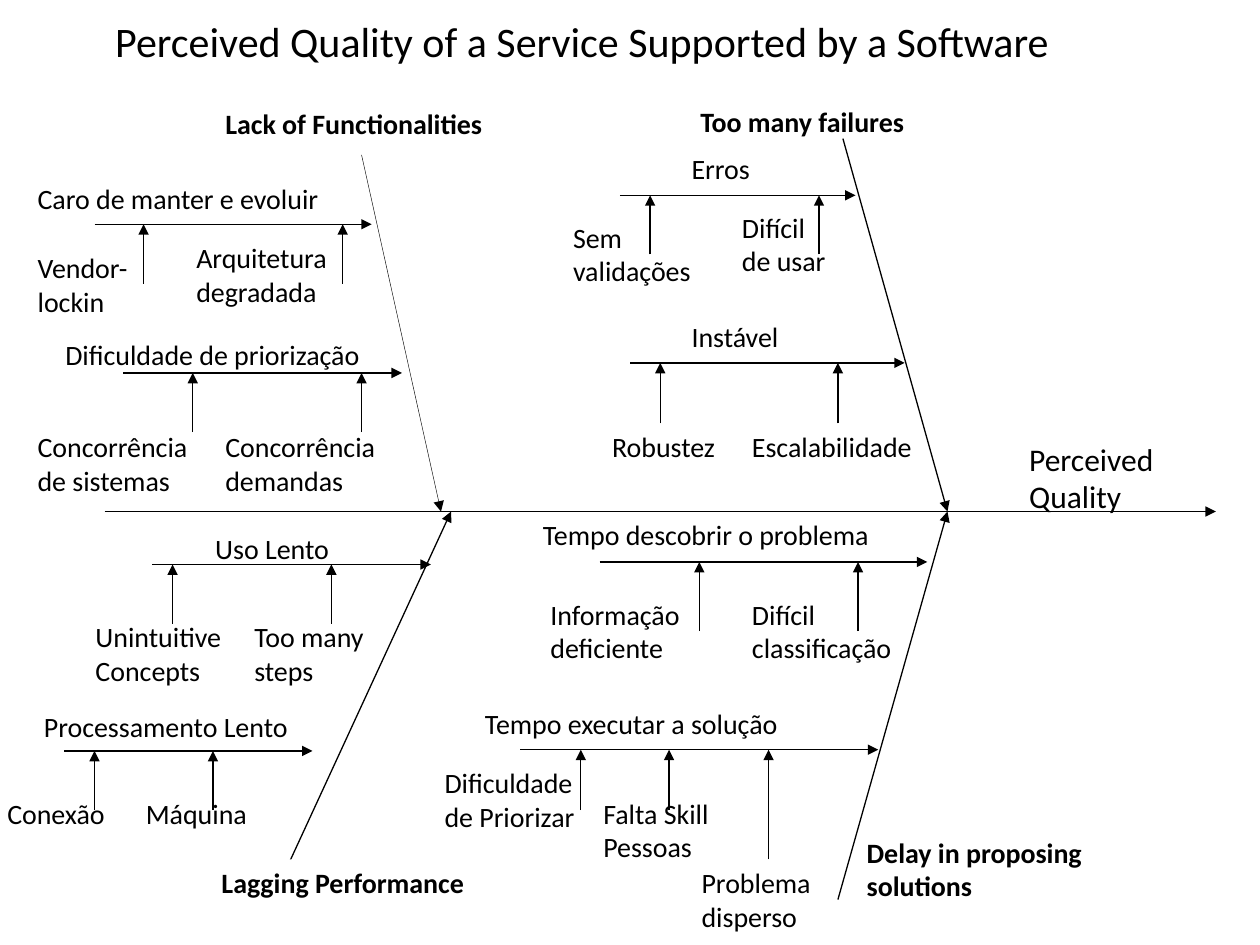
"""Build a fishbone diagram of perceived service quality."""
from dataclasses import dataclass

from lxml import etree
from pptx import Presentation
from pptx.dml.color import RGBColor
from pptx.enum.shapes import MSO_CONNECTOR
from pptx.enum.text import MSO_ANCHOR, MSO_AUTO_SIZE, PP_ALIGN
from pptx.oxml.ns import qn
from pptx.util import Inches, Pt

STRAIGHT = MSO_CONNECTOR.STRAIGHT
FIT = MSO_AUTO_SIZE.SHAPE_TO_FIT_TEXT
LEFT, CENTER = PP_ALIGN.LEFT, PP_ALIGN.CENTER
TOP, MIDDLE = MSO_ANCHOR.TOP, MSO_ANCHOR.MIDDLE


@dataclass(frozen=True)
class Theme:
    """Colours, font, type sizes and line widths."""
    ink: RGBColor = RGBColor(0, 0, 0)
    paper: RGBColor = RGBColor(255, 255, 255)
    font: str = "Calibri"
    title: int = 24
    outcome: int = 18
    label: int = 16
    line: float = 0.75
    hairline: float = 0.25


THEME = Theme()
ONE_LINE, TWO_LINES = 0.37, 0.64
SPINE_Y = 4.06
SPINE = (0.83, 9.65)

TITLE = ("Perceived Quality of a Service Supported by a Software", 0.08, 0.05, 9.08, 0.54)
OUTCOME = ("Perceived Quality", 8.07, 3.44, 1.57, 0.71)

# cause text, left, top, width, height, bone start x, y, joint x, line width
CAUSES = [
    ("Lack of Functionalities", 1.69, 0.8, 3.06, ONE_LINE, 2.87, 1.23, 3.5, THEME.hairline),
    ("Too many failures", 5.46, 0.78, 1.84, ONE_LINE, 6.69, 1.1, 7.52, THEME.line),
    ("Lagging Performance", 1.66, 6.82, 2.16, ONE_LINE, 2.16, 7.14, 3.58, THEME.line),
    ("Delay in proposing solutions", 6.78, 6.58, 2.39, TWO_LINES, 6.65, 7.14, 7.52, THEME.line),
]
MASKED_CAUSE = "Lagging Performance"

# label (text, left, top, width), arrow (start x, end x, y),
# twigs (text, left, top, width, arrow x, arrow start y)
BRANCHES = [
    (("Caro de manter e evoluir", 0.2, 1.39, 2.68), (0.75, 2.95, 1.78), [
        ("Vendor-\nlockin", 0.2, 1.94, 0.99, 1.14, 2.25),
        ("Arquitetura\ndegradada", 1.46, 1.86, 1.36, 2.72, 2.25)]),
    (("Dificuldade de priorização", 0.42, 2.63, 2.84), (0.98, 3.19, 2.96), [
        ("Concorrência\nde sistemas", 0.2, 3.36, 1.53, 1.53, 3.43),
        ("Concorrência\ndemandas", 1.69, 3.36, 1.53, 2.87, 3.43)]),
    (("Erros", 5.39, 1.15, 0.94), (4.92, 6.79, 1.55), [
        ("Sem\nvalidações", 4.45, 1.7, 1.26, 5.16, 2.02),
        ("Difícil\nde usar", 5.79, 1.62, 0.95, 6.5, 2.02)]),
    (("Instável", 5.39, 2.49, 1.18), (5, 7.18, 2.88), [
        ("Robustez", 4.76, 3.36, 1.15, 5.24, 3.36),
        ("Escalabilidade", 5.87, 3.36, 1.64, 6.65, 3.36)]),
    (("Uso Lento", 1.61, 4.17, 1.34), (1.21, 3.42, 4.48), [
        ("Unintuitive\nConcepts", 0.66, 4.87, 1.26, 1.37, 4.95),
        ("Too many\nsteps", 1.92, 4.87, 1.13, 2.63, 4.95)]),
    (("Processamento Lento", 0.25, 5.58, 2.38), (0.51, 2.48, 5.96), [
        ("Conexão", -0.04, 6.27, 1.1, 0.75, 6.43),
        ("Máquina", 1.06, 6.27, 1.26, 1.69, 6.43)]),
    (("Tempo descobrir o problema", 4.21, 4.06, 3.15), (4.76, 7.36, 4.46), [
        ("Informação\ndeficiente", 4.27, 4.69, 1.33, 5.55, 5.01),
        ("Difícil\nclassificação", 5.87, 4.69, 1.47, 6.81, 5.01)]),
    (("Tempo executar a solução", 3.75, 5.56, 3.22), (4.13, 6.97, 5.95), [
        ("Dificuldade\nde Priorizar", 3.43, 6.03, 1.37, 4.61, 6.43),
        ("Falta Skill\nPessoas", 4.69, 6.27, 1.4, 5.31, 6.43),
        ("Problema\ndisperso", 5.47, 6.82, 1.16, 6.1, 6.82)]),
]


def add_text(page, text, left, top, width, height, size=THEME.label,
             bold=False, align=LEFT, anchor=TOP):
    """Add a wrapped text box and return it."""
    box = page.shapes.add_textbox(*map(Inches, (left, top, width, height)))
    frame = box.text_frame
    frame.text = text
    frame.word_wrap = True
    frame.auto_size = FIT
    frame.vertical_anchor = anchor
    for para in frame.paragraphs:
        para.alignment = align
        for span in para.runs:
            span.font.name = THEME.font
            span.font.size = Pt(size)
            span.font.bold = bold
            span.font.color.rgb = THEME.ink
    return box


def add_arrow(page, start, end, width=THEME.line):
    """Add a straight line with a triangle at its end."""
    arrow = page.shapes.add_connector(STRAIGHT, *map(Inches, (*start, *end)))
    arrow.line.color.rgb = THEME.ink
    arrow.line.width = Pt(width)
    etree.SubElement(arrow.line._get_or_add_ln(), qn("a:tailEnd"), type="triangle")
    etree.SubElement(arrow._element.spPr, qn("a:effectLst"))


def add_cause(page, text, left, top, width, height, x, y, joint, line):
    """Add a bone running to the spine and its bold heading."""
    add_arrow(page, (x, y), (joint, SPINE_Y), line)
    box = add_text(page, text, left, top, width, height, bold=True)
    if text == MASKED_CAUSE:
        box.fill.solid()
        box.fill.fore_color.rgb = THEME.paper


def add_branch(page, label, arrow, twigs):
    """Add a labelled horizontal arrow with its upward twigs."""
    start, end, y = arrow
    add_arrow(page, (start, y), (end, y))
    add_text(page, *label, ONE_LINE)
    for text, left, top, width, x, base in twigs:
        add_arrow(page, (x, base), (x, y))
        add_text(page, text, left, top, width, TWO_LINES if "\n" in text else ONE_LINE)


def main():
    """Assemble and save the slide."""
    deck = Presentation()
    deck.slide_width, deck.slide_height = Inches(10), Inches(7.5)
    page = deck.slides.add_slide(deck.slide_layouts[6])
    add_text(page, *TITLE, THEME.title, align=CENTER, anchor=MIDDLE)
    add_arrow(page, (SPINE[0], SPINE_Y), (SPINE[1], SPINE_Y))
    add_text(page, *OUTCOME, THEME.outcome)
    for cause in CAUSES:
        add_cause(page, *cause)
    for branch in BRANCHES:
        add_branch(page, *branch)
    deck.save("out.pptx")


if __name__ == "__main__":
    main()
